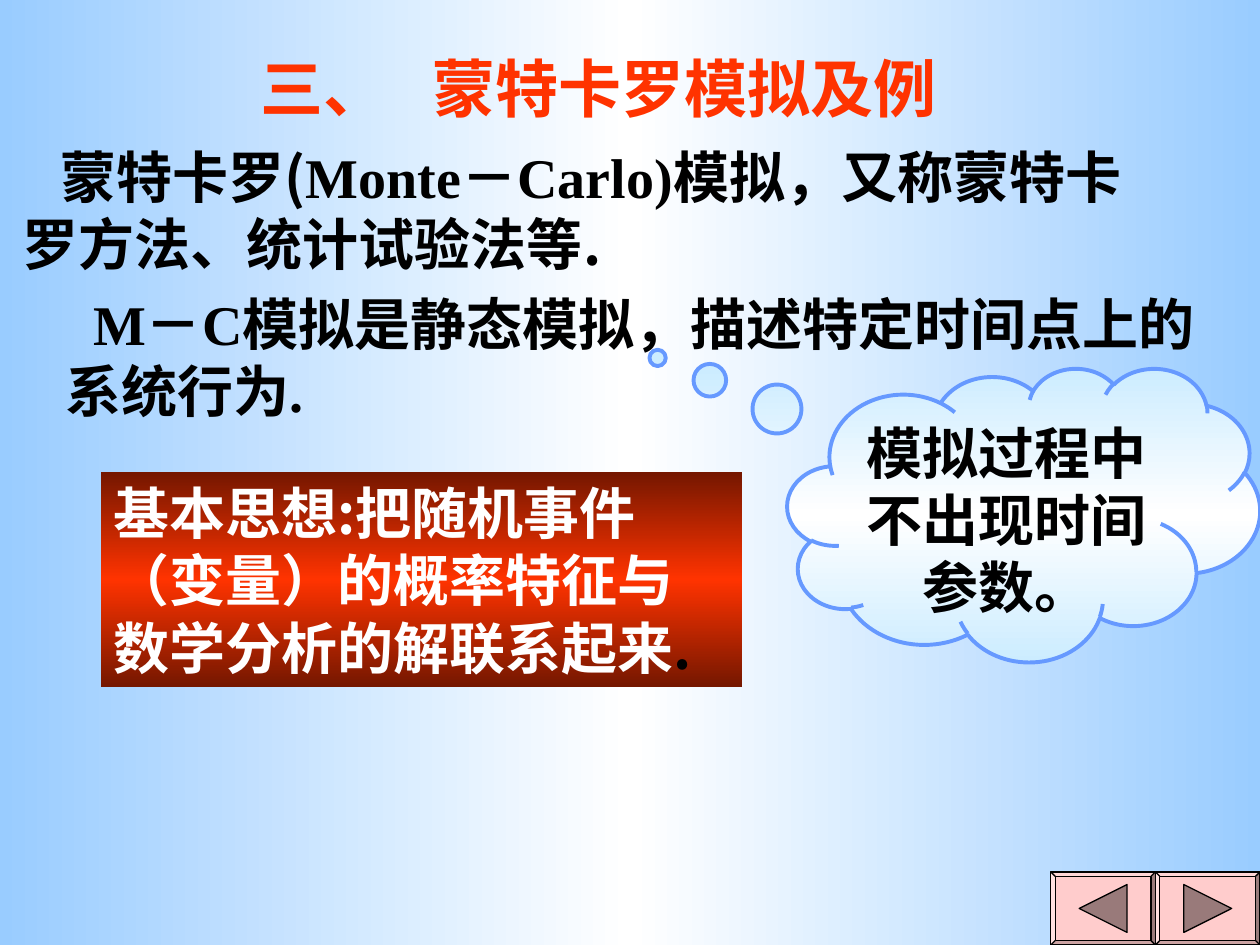
"""Build the slide introducing Monte Carlo simulation."""
from copy import deepcopy
from dataclasses import dataclass

from lxml.etree import SubElement
from pptx import Presentation
from pptx.dml.color import RGBColor
from pptx.enum.shapes import MSO_SHAPE
from pptx.enum.text import MSO_ANCHOR, PP_ALIGN
from pptx.oxml.ns import qn
from pptx.util import Inches, Pt


@dataclass(frozen=True)
class Theme:
    latin: str = "Times New Roman"
    asian: str = "Noto Sans CJK SC"
    title_size: int = 36
    body_size: int = 32
    title: str = "FF3300"
    text: str = "000000"
    light_text: str = "FFFFFF"
    backdrop: tuple = ("99CCFF", "FFFFFF")
    cloud: tuple = ("CCECFF", "FFFFFF")
    cloud_line: str = "6699FF"
    idea: tuple = ("751700", "FF3300")
    button: str = "FFCCCC"
    arrow: str = "997A7A"


THEME = Theme()

TITLE = ("三、", " ", "蒙特卡罗模拟及例")
TITLE_BOX = (0.25, 0.33, 9, 0.67)
TITLE_GAP = 18

TEXT_BOXES = [
    {
        "box": (0.08, 1.08, 10.17, 1.17),
        "indent": 0.3,
        "lines": [
            [
                ("蒙特卡罗(", THEME.asian),
                ("Monte－Carlo)", THEME.latin),
                ("模拟，又称蒙特卡", THEME.asian),
            ],
            [("罗方法、统计试验法等.", THEME.asian)],
        ],
    },
    {
        "box": (0.42, 2.25, 9.58, 1.17),
        "indent": 0.22,
        "lines": [[("M－C模拟是静态模拟，描述特定时间点上的系统行为.", THEME.latin)]],
    },
]

CLOUD_BOX = (6.25, 2.92, 3.75, 2.33)
CLOUD_TAIL = (-0.775, -0.534)
CLOUD_LINES = [[("模拟过程中不出现时间参数。", THEME.latin)]]

IDEA_BOX = (0.8, 3.75, 5.09, 1.7)
IDEA_LINES = [
    [("基本思想:把随机事件", THEME.asian)],
    [("（变量）的概率特征与", THEME.asian)],
    [("数学分析的解联系起来", THEME.asian), (".", THEME.asian)],
]

BUTTON_SIZE = (0.83, 0.58)
ARROW_SIZE = 0.38
ARROW_ROTATIONS = (-90, 90)


def color(value):
    return RGBColor.from_string(value)


def place(box):
    return [Inches(length) for length in box]


def style_font(font, size, fill, latin):
    font.size, font.bold, font.name = Pt(size), True, latin
    font.color.rgb = color(fill)


def add_run(paragraph, text):
    run = paragraph.add_run()
    run.text = text
    SubElement(run.font._element, qn("a:ea"), typeface=THEME.asian)
    return run


def write_lines(frame, lines, fill, alignment=PP_ALIGN.LEFT, wrap=True):
    frame.word_wrap = wrap
    frame.vertical_anchor = MSO_ANCHOR.TOP
    for index, parts in enumerate(lines):
        paragraph = frame.paragraphs[0] if index == 0 else frame.add_paragraph()
        paragraph.alignment = alignment
        for text, latin in parts:
            run = paragraph.add_run()
            run.text = text
            style_font(run.font, THEME.body_size, fill, latin)
            set_asian_font(run)


def set_asian_font(run):
    properties = run._r.get_or_add_rPr()
    SubElement(properties, qn("a:ea"), typeface=THEME.asian)


def mirror_gradient(fill, element, colors, angle):
    """Fill with the edge colour, the middle colour and the edge colour again."""
    fill.gradient()
    fill.gradient_angle = angle
    for stop, value, position in zip(fill.gradient_stops, colors, (0, 0.5)):
        stop.color.rgb = color(value)
        stop.position = position
    stops = element.find(".//" + qn("a:gsLst"))
    last = deepcopy(stops[0])
    last.set("pos", "100000")
    stops.append(last)


def add_shape(slide, kind, box, line=None, width=0.75):
    shape = slide.shapes.add_shape(kind, *place(box))
    shape.shadow.inherit = False
    if line:
        shape.line.color.rgb = color(line)
        shape.line.width = Pt(width)
    else:
        shape.line.fill.background()
    return shape


def add_title(slide):
    title = slide.shapes.title
    title.left, title.top, title.width, title.height = place(TITLE_BOX)
    frame = title.text_frame
    frame.vertical_anchor = MSO_ANCHOR.MIDDLE
    paragraph = frame.paragraphs[0]
    paragraph.alignment, paragraph.line_spacing = PP_ALIGN.CENTER, 1.1
    for text in TITLE:
        run = paragraph.add_run()
        run.text = text
        style_font(run.font, THEME.title_size, THEME.title, THEME.latin)
        set_asian_font(run)
    paragraph.runs[1]._r.get_or_add_rPr().set("spc", str(TITLE_GAP * 100))


def add_text_boxes(slide):
    for item in TEXT_BOXES:
        frame = slide.shapes.add_textbox(*place(item["box"])).text_frame
        write_lines(frame, item["lines"], THEME.text)
        properties = frame.paragraphs[0]._p.get_or_add_pPr()
        properties.set("indent", str(Inches(item["indent"])))


def add_cloud(slide):
    cloud = add_shape(slide, MSO_SHAPE.CLOUD_CALLOUT, CLOUD_BOX, THEME.cloud_line, 2.25)
    for index, value in enumerate(CLOUD_TAIL):
        cloud.adjustments[index] = value
    mirror_gradient(cloud.fill, cloud.element, THEME.cloud, 90)
    write_lines(cloud.text_frame, CLOUD_LINES, THEME.text, PP_ALIGN.CENTER)


def add_idea(slide):
    idea = add_shape(slide, MSO_SHAPE.RECTANGLE, IDEA_BOX)
    mirror_gradient(idea.fill, idea.element, THEME.idea, 90)
    write_lines(idea.text_frame, IDEA_LINES, THEME.light_text, wrap=False)
    full_stop = idea.text_frame.paragraphs[-1].runs[-1]
    full_stop.font.color.rgb = color(THEME.text)


def add_buttons(slide):
    width, height = BUTTON_SIZE
    top = 7.5 - height
    for index, rotation in enumerate(ARROW_ROTATIONS):
        left = 10 - width * (len(ARROW_ROTATIONS) - index)
        button = add_shape(slide, MSO_SHAPE.BEVEL, (left, top, width, height), THEME.text)
        button.adjustments[0] = 0.06
        arrow_box = (left + (width - ARROW_SIZE) / 2, top + (height - ARROW_SIZE) / 2,
                     ARROW_SIZE, ARROW_SIZE)
        arrow = add_shape(slide, MSO_SHAPE.ISOSCELES_TRIANGLE, arrow_box, THEME.text)
        arrow.rotation = rotation
        for shape, fill in ((button, THEME.button), (arrow, THEME.arrow)):
            shape.fill.solid()
            shape.fill.fore_color.rgb = color(fill)


def main():
    presentation = Presentation()
    presentation.slide_width, presentation.slide_height = Inches(10), Inches(7.5)
    slide = presentation.slides.add_slide(presentation.slide_layouts[5])
    mirror_gradient(slide.background.fill, slide.element, THEME.backdrop, 180)
    for build in (add_title, add_buttons, add_text_boxes, add_cloud, add_idea):
        build(slide)
    presentation.save("out.pptx")


if __name__ == "__main__":
    main()
